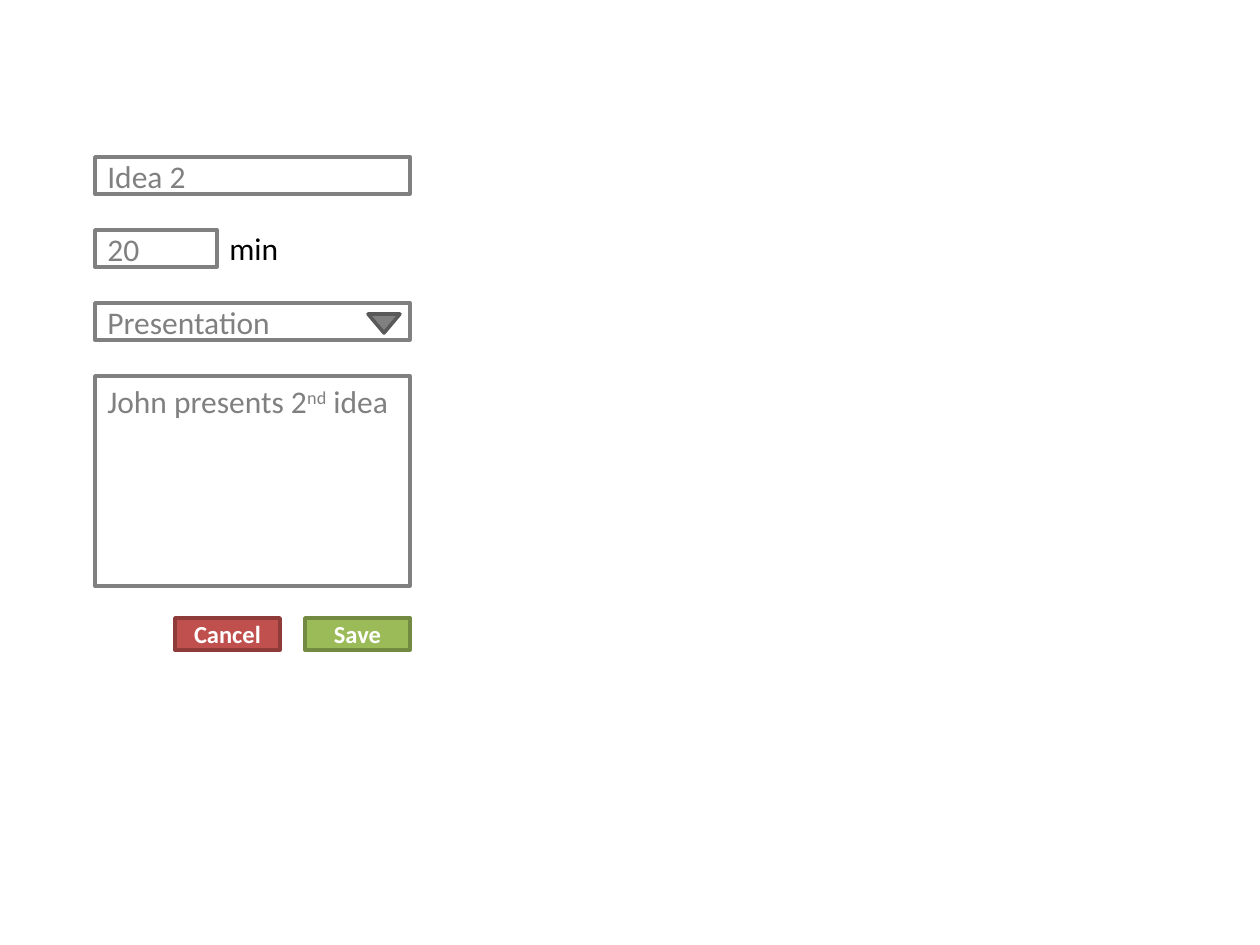
from pptx import Presentation
from pptx.dml.color import RGBColor
from pptx.enum.shapes import MSO_SHAPE
from pptx.enum.text import MSO_ANCHOR, MSO_AUTO_SIZE, PP_ALIGN
from pptx.util import Inches, Pt

COLORS = {
    "white": "FFFFFF", "black": "000000", "gray": "808080", "dark_gray": "595959",
    "green": "9BBB59", "dark_green": "738A42", "red": "C0504D", "dark_red": "8E3B39",
}


class FormSlide:
    font_name = "Calibri"
    line_width = Pt(2)
    scale = Inches(1) / 126

    def __init__(self, slide):
        self.slide = slide

    def lengths(self, *pixels):
        return [round(pixel * self.scale) for pixel in pixels]

    def color(self, name):
        return RGBColor.from_string(COLORS[name])

    def shape(self, kind, box, fill, line):
        shape = self.slide.shapes.add_shape(kind, *self.lengths(*box))
        shape.shadow.inherit = False
        shape.fill.solid()
        shape.fill.fore_color.rgb = self.color(fill)
        shape.line.color.rgb = self.color(line)
        shape.line.width = self.line_width
        return shape

    def add_text(self, shape, runs, color, size=18, align=PP_ALIGN.LEFT,
                 anchor=MSO_ANCHOR.MIDDLE, bold=False):
        frame = shape.text_frame
        frame.word_wrap = True
        frame.vertical_anchor = anchor
        paragraph = frame.paragraphs[0]
        paragraph.alignment = align
        paragraph.font.name = self.font_name
        paragraph.font.size = Pt(size)
        paragraph.font.bold = bold
        paragraph.font.color.rgb = self.color(color)
        for text, baseline in runs:
            run = paragraph.add_run()
            run.text = text
            if baseline:
                run._r.get_or_add_rPr().set("baseline", str(baseline * 1000))

    def field(self, box, *runs, anchor=MSO_ANCHOR.MIDDLE):
        shape = self.shape(MSO_SHAPE.RECTANGLE, box, "white", "gray")
        self.add_text(shape, runs, "gray", anchor=anchor)

    def button(self, box, text, color):
        shape = self.shape(MSO_SHAPE.RECTANGLE, box, color, f"dark_{color}")
        self.add_text(shape, [(text, 0)], "white", 14, PP_ALIGN.CENTER, bold=True)

    def label(self, box, text):
        shape = self.slide.shapes.add_textbox(*self.lengths(*box))
        self.add_text(shape, [(text, 0)], "black", anchor=MSO_ANCHOR.TOP)
        shape.text_frame.auto_size = MSO_AUTO_SIZE.SHAPE_TO_FIT_TEXT

    def dropdown_arrow(self, box):
        shape = self.shape(MSO_SHAPE.ISOSCELES_TRIANGLE, box, "gray", "dark_gray")
        shape.rotation = 180


presentation = Presentation()
presentation.slide_width = Inches(10)
presentation.slide_height = Inches(7.5)
form = FormSlide(presentation.slides.add_slide(presentation.slide_layouts[6]))

left, width, height = 95, 315, 37
title_top, duration_top, type_top, notes_top = [157 + 73 * row for row in range(4)]

form.field((left, title_top, width, height), ("Idea 2", 0))
form.field((left, duration_top, 122, height), ("20", 0))
form.label((left + 122, duration_top - 7, 126, 50), "min")
form.field((left, type_top, width, height), ("Presentation", 0))
form.dropdown_arrow((368, type_top + 11, 32, 19))
form.field((left, notes_top, width, 210),
           ("John presents 2", 0), ("nd", 30), (" idea", 0), anchor=MSO_ANCHOR.TOP)

button_width, button_gap = 105, 25
save_left = left + width - button_width
cancel_left = save_left - button_width - button_gap
for button_left, text, color in ((save_left, "Save", "green"),
                                 (cancel_left, "Cancel", "red")):
    form.button((button_left, 618, button_width, 32), text, color)

presentation.save("out.pptx")
